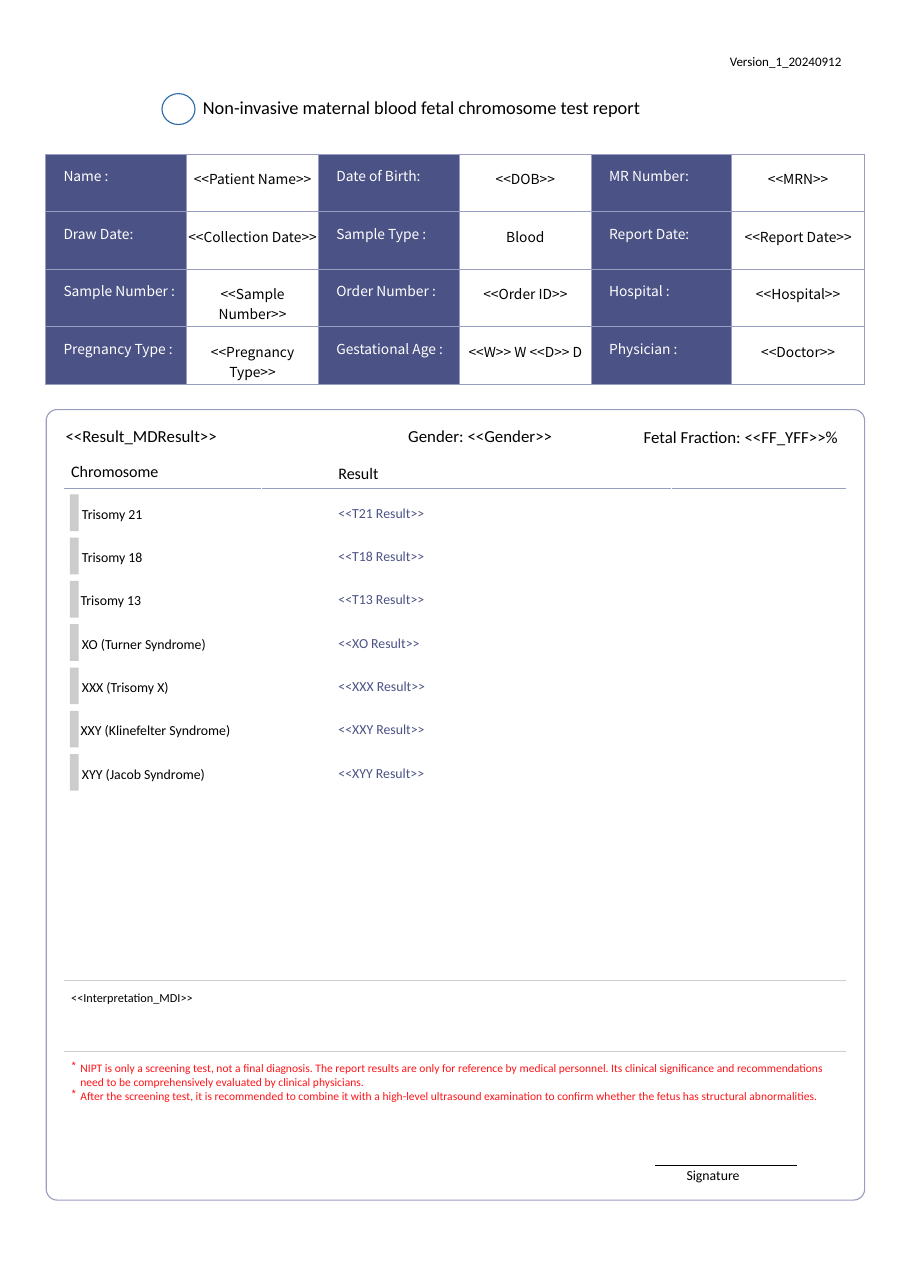
"""Build a one-page prenatal test report on a grid of 100 columns by 100 rows."""
from dataclasses import dataclass

import lxml.etree
import pptx
import pptx.dml.color
import pptx.enum.shapes
import pptx.enum.text
import pptx.oxml.ns
import pptx.shapes.autoshape
import pptx.slide
import pptx.table
import pptx.text.text
import pptx.util

RGBColor = pptx.dml.color.RGBColor
BLACK = RGBColor(0x00, 0x00, 0x00)
WHITE = RGBColor(0xFF, 0xFF, 0xFF)
NAVY = RGBColor(0x4B, 0x52, 0x85)
LILAC = RGBColor(0x99, 0x9D, 0xC0)
SILVER = RGBColor(0xCC, 0xCC, 0xCC)
PALE = RGBColor(0xCE, 0xCE, 0xCE)
BLUE = RGBColor(0x2C, 0x6B, 0xAA)
RED = RGBColor(0xFF, 0x13, 0x17)

WIDE = pptx.util.Inches(8.26)
HIGH = pptx.util.Inches(11.69)
THIN = pptx.util.Pt(0.75)
BODY = "Calibri"
GRID = "Noto Sans CJK SC"
SHAPE = pptx.enum.shapes.MSO_SHAPE
ALIGN = pptx.enum.text.PP_ALIGN

LEFT, SPAN = 5.04, 89.94
RULE_LEFT, RULE_RIGHT = 7.06, 92.92
FIRST, STEP = 39.09, 3.36
LABEL, VALUE, ROW = 15.45, 14.53, 4.47


@dataclass(frozen=True)
class Note:
    """A line of text with its place in columns and rows."""
    text: str
    left: float
    top: float
    width: float
    height: float
    size: float
    color: RGBColor = BLACK
    inset: float = 0.17
    indent: float = 0.15


@dataclass(frozen=True)
class Rule:
    """A level line from one column to another."""
    start: float
    end: float
    row: float
    color: RGBColor


@dataclass(frozen=True)
class Test:
    """A tested disorder and its result field."""
    name: str
    result: str
    indent: float = 0.15


TITLE = Note("Non-invasive maternal blood fetal chromosome test report",
             22.15, 7.3, 65.5, 1.88, 12)
NOTES = [
    Note("Version_1_20240912", 80.05, 4.02, 15.74, 1.37, 8.5),
    Note("<<Result_MDResult>>", 7.06, 32.88, 26.76, 1.71, 11),
    Note("Gender: <<Gender>>", 44.72, 32.88, 21.67, 1.71, 11),
    Note("Fetal Fraction: <<FF_YFF>>%", 70.58, 32.93, 25.91, 1.71, 11),
    Note("Chromosome", 7.68, 35.76, 14.16, 1.63, 10.5, inset=0.09),
    Note("Result", 37.05, 35.89, 8.11, 1.63, 10.5, inset=0.09),
    Note("<<Interpretation_MDI>>", 7.68, 76.56, 84.62, 1.54, 8, inset=0.34),
    Note("Signature", 75.3, 90.5, 8.6, 1.45, 9, inset=0.09),
]
RULES = [
    Rule(RULE_LEFT, 28.69, 37.9, LILAC),
    Rule(28.81, 73.73, 37.9, LILAC),
    Rule(73.85, RULE_RIGHT, 37.9, LILAC),
    Rule(RULE_LEFT, RULE_RIGHT, 76.13, PALE),
    Rule(RULE_LEFT, RULE_RIGHT, 81.61, PALE),
    Rule(72.03, 87.6, 90.5, BLACK),
]
TESTS = [
    Test("Trisomy 21", "<<T21 Result>>"),
    Test("Trisomy 18", "<<T18 Result>>"),
    Test("Trisomy 13", "<<T13 Result>>", 0),
    Test("XO (Turner Syndrome)", "<<XO Result>>"),
    Test("XXX (Trisomy X)", "<<XXX Result>>"),
    Test("XXY (Klinefelter Syndrome)", "<<XXY Result>>", 0),
    Test("XYY (Jacob Syndrome)", "<<XYY Result>>"),
]
FIELDS = [
    ["Name :", "<<Patient Name>>", "Date of Birth:", "<<DOB>>", "MR Number:", "<<MRN>>"],
    ["Draw Date:", "<<Collection Date>>", "Sample Type :", "Blood",
     "Report Date:", "<<Report Date>>"],
    ["Sample Number :", "<<Sample Number>>", "Order Number :", "<<Order ID>>",
     "Hospital :", "<<Hospital>>"],
    ["Pregnancy Type :", "<<Pregnancy Type>>", "Gestational Age :", "<<W>> W <<D>> D",
     "Physician :", "<<Doctor>>"],
]
WARNINGS = [
    "NIPT is only a screening test, not a final diagnosis. The report results are only for "
    "reference by medical personnel. Its clinical significance and recommendations need to be "
    "comprehensively evaluated by clinical physicians.",
    "After the screening test, it is recommended to combine it with a high-level ultrasound "
    "examination to confirm whether the fetus has structural abnormalities.",
]


def col(count: float) -> pptx.util.Emu:
    """Turn columns into a length."""
    return pptx.util.Emu(round(WIDE * count / 100))


def row(count: float) -> pptx.util.Emu:
    """Turn rows into a length."""
    return pptx.util.Emu(round(HIGH * count / 100))


def place(left: float, top: float, width: float, height: float) -> tuple:
    """Turn a grid area into lengths."""
    return col(left), row(top), col(width), row(height)


def node(parent, tag: str, **attrs: str):
    """Add a child element in XML."""
    return lxml.etree.SubElement(parent, pptx.oxml.ns.qn(tag), attrs)


def write(para, text: str, size: float, color: RGBColor, font: str = BODY) -> None:
    """Add a run to a paragraph."""
    run = para.add_run()
    run.text = text
    run.font.size = pptx.util.Pt(size)
    run.font.name = font
    run.font.color.rgb = color
    node(run.font._element, "a:ea", typeface=font)


def fit(frame: pptx.text.text.TextFrame, note: Note) -> None:
    """Set the margins and wrap of a text frame."""
    frame.word_wrap = True
    frame.auto_size = pptx.enum.text.MSO_AUTO_SIZE.SHAPE_TO_FIT_TEXT
    frame.vertical_anchor = pptx.enum.text.MSO_ANCHOR.TOP
    frame.margin_left, frame.margin_top = col(note.indent), row(note.inset)
    frame.margin_right = frame.margin_bottom = 0


def head(slide: pptx.slide.Slide, note: Note) -> None:
    """Place and fill the title."""
    box = slide.shapes.title
    box.left, box.top, box.width, box.height = place(
        note.left, note.top, note.width, note.height)
    fit(box.text_frame, note)
    para = box.text_frame.paragraphs[0]
    para.alignment = ALIGN.LEFT
    write(para, note.text, note.size, note.color)


def label(slide: pptx.slide.Slide, note: Note) -> None:
    """Draw a line of text."""
    box = slide.shapes.add_textbox(*place(note.left, note.top, note.width, note.height))
    fit(box.text_frame, note)
    write(box.text_frame.paragraphs[0], note.text, note.size, note.color)


def warn(slide: pptx.slide.Slide) -> None:
    """Draw the starred warnings."""
    box = slide.shapes.add_textbox(*place(7.63, 82.04, 85.23, 3.59))
    frame = box.text_frame
    fit(frame, Note("", 0, 0, 0, 0, 7.5, inset=0.34, indent=0))
    for rank, text in enumerate(WARNINGS):
        para = frame.add_paragraph() if rank else frame.paragraphs[0]
        props = para._p.get_or_add_pPr()
        props.set("marL", str(col(1.21)))
        props.set("indent", str(-col(0.97)))
        node(node(props, "a:buClr"), "a:srgbClr", val=str(RED))
        node(props, "a:buChar", char="*")
        write(para, text, 7.5, RED)


def draw(slide: pptx.slide.Slide, kind: SHAPE, area: tuple, fill: RGBColor | None = None,
         line: RGBColor | None = None) -> pptx.shapes.autoshape.Shape:
    """Draw a preset shape."""
    shape = slide.shapes.add_shape(kind, *place(*area))
    shape.shadow.inherit = False
    for paint, color in ((shape.fill, fill), (shape.line.fill, line)):
        if color is None:
            paint.background()
        else:
            paint.solid()
            paint.fore_color.rgb = color
    shape.line.width = THIN
    return shape


def rule(slide: pptx.slide.Slide, item: Rule) -> None:
    """Draw a level line."""
    line = slide.shapes.add_connector(
        pptx.enum.shapes.MSO_CONNECTOR.STRAIGHT,
        col(item.start), row(item.row), col(item.end), row(item.row))
    line.line.color.rgb = item.color
    line.line.width = THIN
    node(line._element.spPr, "a:effectLst")


def dress(cell: pptx.table._Cell, text: str, named: bool) -> None:
    """Fill a cell as a label or a value."""
    props = cell._tc.get_or_add_tcPr()
    for side in ("a:lnL", "a:lnR", "a:lnT", "a:lnB"):
        edge = node(props, side, w=str(THIN))
        node(node(edge, "a:solidFill"), "a:srgbClr", val=str(LILAC))
    cell.margin_left = col(1.94 if named else 0)
    cell.margin_top = row(0.9 if named else 1.11)
    cell.margin_right = cell.margin_bottom = 0
    para = cell.text_frame.paragraphs[0]
    para.alignment = ALIGN.LEFT if named else ALIGN.CENTER
    write(para, text, 9, WHITE if named else BLACK, GRID)
    if named:
        cell.fill.solid()
        cell.fill.fore_color.rgb = NAVY
    else:
        cell.fill.background()


def chart(slide: pptx.slide.Slide) -> None:
    """Draw the table of patient fields."""
    count = len(FIELDS)
    table = slide.shapes.add_table(
        count, 6, *place(LEFT, 11.98, SPAN, ROW * count)).table
    table.first_row = table.horz_banding = False
    for rank, column in enumerate(table.columns):
        column.width = col(VALUE if rank % 2 else LABEL)
    for line, texts in zip(table.rows, FIELDS):
        line.height = row(ROW)
        for rank, (cell, text) in enumerate(zip(line.cells, texts)):
            dress(cell, text, rank % 2 == 0)


def main() -> None:
    """Build and save the report."""
    deck = pptx.Presentation()
    deck.slide_width, deck.slide_height = WIDE, HIGH
    slide = deck.slides.add_slide(deck.slide_layouts[5])
    head(slide, TITLE)
    draw(slide, SHAPE.OVAL, (17.8, 7.27, 3.63, 2.4), line=BLUE)
    chart(slide)
    frame = draw(slide, SHAPE.ROUNDED_RECTANGLE, (5.08, 31.8, SPAN, 61.38), line=LILAC)
    frame.adjustments[0] = 0.014
    for item in RULES:
        rule(slide, item)
    for note in NOTES:
        label(slide, note)
    for rank, test in enumerate(TESTS):
        top = FIRST + STEP * rank
        draw(slide, SHAPE.RECTANGLE, (7.68, top - 0.7, 0.97, 2.85), fill=SILVER)
        label(slide, Note(test.name, 8.86, top, 27.5, 1.45, 9, indent=test.indent))
        label(slide, Note(test.result, 37.05, top, 14.41, 1.45, 9, NAVY, 0.09))
    warn(slide)
    deck.save("out.pptx")


if __name__ == "__main__":
    main()
